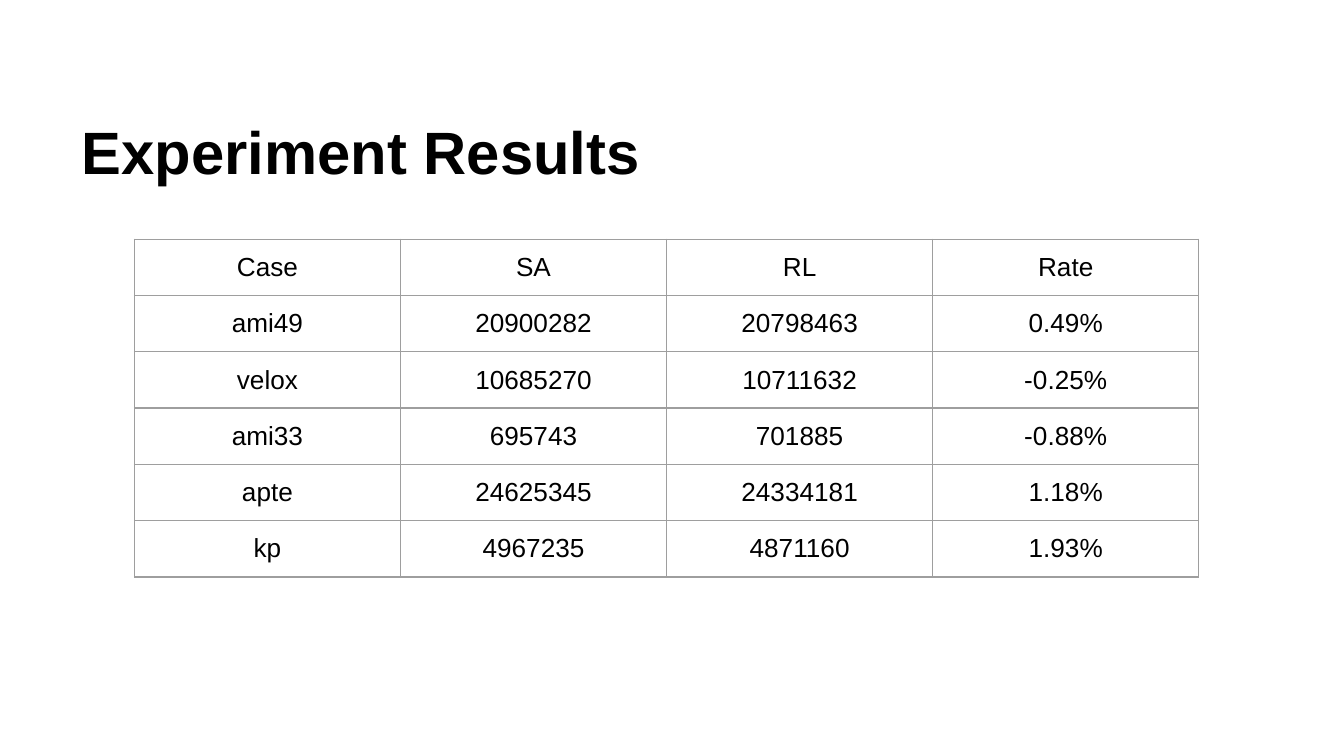
from lxml import etree
from pptx import Presentation, util as u
from pptx.dml.color import RGBColor
from pptx.enum import text
from pptx.oxml import ns

RESULTS = [
    ("Case", "SA", "RL", "Rate"),
    ("ami49", "20900282", "20798463", "0.49%"),
    ("velox", "10685270", "10711632", "-0.25%"),
    ("ami33", "695743", "701885", "-0.88%"),
    ("apte", "24625345", "24334181", "1.18%"),
    ("kp", "4967235", "4871160", "1.93%"),
]
COLUMN, ROW = u.Inches(1.98), u.Pt(30)
INSET = u.Inches(0.1)


def write(para, words, color, **font_format):
    span = para.add_run()
    span.text = words
    span.font.color.rgb = RGBColor.from_string(color)
    for name, value in font_format.items():
        setattr(span.font, name, value)


def add_borders(cell, color, width):
    props = cell._tc.get_or_add_tcPr()
    for position, side in enumerate(("lnL", "lnR", "lnT", "lnB")):
        line = etree.Element(ns.qn(f"a:{side}"), w=str(u.Pt(width)))
        fill = etree.SubElement(line, ns.qn("a:solidFill"))
        etree.SubElement(fill, ns.qn("a:srgbClr"), val=color)
        props.insert(position, line)


deck = Presentation()
deck.slide_width = u.Inches(10)
deck.slide_height = deck.slide_width * 9 // 16
page = deck.slides.add_slide(deck.slide_layouts[5])

title = page.shapes.title
title_box = {"left": 0.51, "top": 0.86, "width": 9, "height": 0.52}
for name, value in title_box.items():
    setattr(title, name, u.Inches(value))
frame = title.text_frame
frame_format = {
    "vertical_anchor": text.MSO_ANCHOR.MIDDLE,
    "auto_size": text.MSO_AUTO_SIZE.NONE,
    "word_wrap": True,
}
for name, value in frame_format.items():
    setattr(frame, name, value)
para = frame.paragraphs[0]
para.alignment = text.PP_ALIGN.LEFT
write(para, "Experiment Results", "000000", name="Arial", size=u.Pt(32), bold=True)

rows, columns = len(RESULTS), len(RESULTS[0])
table = page.shapes.add_table(
    rows, columns, u.Inches(1), u.Inches(1.78), COLUMN * columns, ROW * rows
).table
table.first_row = table.horz_banding = False

cell_format = {f"margin_{side}": INSET for side in ("left", "right", "top", "bottom")}
for r, record in enumerate(RESULTS):
    for c, words in enumerate(record):
        cell = table.cell(r, c)
        for name, value in cell_format.items():
            setattr(cell, name, value)
        cell.fill.background()
        add_borders(cell, "9E9E9E", 0.75)
        para = cell.text_frame.paragraphs[0]
        para.alignment = text.PP_ALIGN.CENTER
        write(para, words, "000000", name="Arial", size=u.Pt(14))

deck.save("out.pptx")
